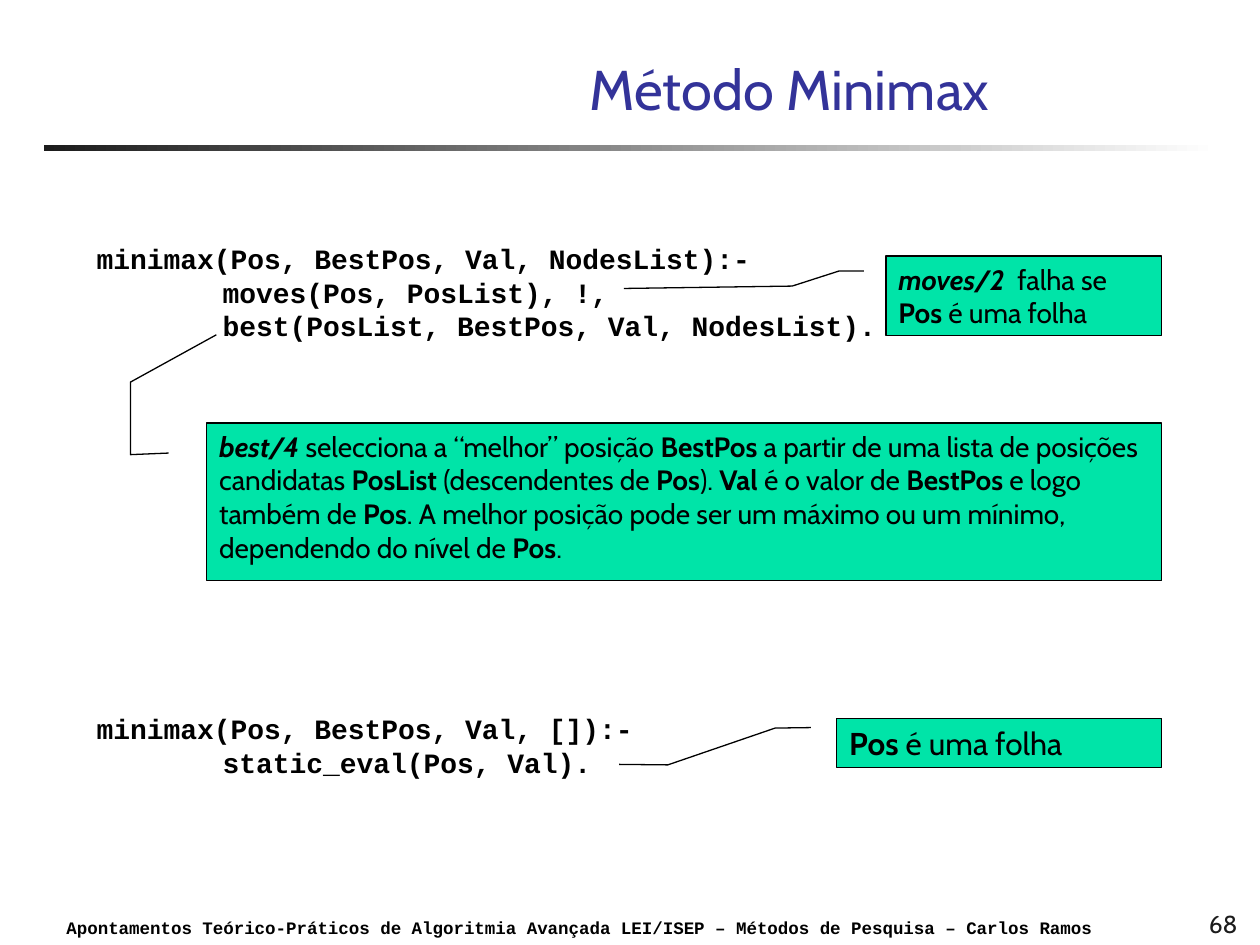
from pptx import Presentation
from pptx.dml.color import RGBColor
from pptx.enum.shapes import MSO_SHAPE as Shape
from pptx.enum.text import MSO_ANCHOR as Anchor, MSO_AUTO_SIZE as AutoSize, PP_ALIGN as Align
from pptx.util import Cm, Pt

BODY_FONT = "Cabin"
CODE_FONT = "Courier New"
BLACK = "000000"
DARK_GRAY = "1C1C1C"
WHITE = "FFFFFF"
TITLE_BLUE = "333399"
CALLOUT_GREEN = "00E4A8"
CALLOUT_RIGHT = 23.42
CODE_INDENT = 2.54


def rgb(hex_color):
    return RGBColor.from_string(hex_color)


def add_run(paragraph, text, size, font=BODY_FONT, color=BLACK, style=""):
    """Style holds "b" for bold and "i" for italic."""
    run = paragraph.add_run()
    run.text = text
    run.font.name = font
    run.font.size = Pt(size)
    run.font.color.rgb = rgb(color)
    run.font.bold = "b" in style
    run.font.italic = "i" in style


def add_text_box(slide, left, top, width, height, anchor=Anchor.TOP, wrap=True):
    box = slide.shapes.add_textbox(Cm(left), Cm(top), Cm(width), Cm(height))
    frame = box.text_frame
    frame.word_wrap = wrap
    frame.vertical_anchor = anchor
    return frame


def fill_title(slide, text):
    title = slide.shapes.title
    title.left, title.top = Cm(7.29), Cm(1.12)
    title.width, title.height = Cm(17.25), Cm(1.47)
    frame = title.text_frame
    frame.auto_size = AutoSize.NONE
    frame.vertical_anchor = Anchor.BOTTOM
    paragraph = frame.paragraphs[0]
    paragraph.alignment = Align.CENTER
    add_run(paragraph, text, 32, color=TITLE_BLUE)


def add_title_rule(slide):
    rule = slide.shapes.add_shape(Shape.RECTANGLE, Cm(0.89), Cm(2.92), Cm(23.67), Cm(0.13))
    rule.shadow.inherit = False
    rule.line.fill.background()
    rule.fill.gradient()
    rule.fill.gradient_angle = 0
    for stop, color in zip(rule.fill.gradient_stops, (DARK_GRAY, WHITE)):
        stop.color.rgb = rgb(color)


def add_footer(slide, text, number):
    frame = add_text_box(slide, 1.09, 18.36, 21.41, 0.69)
    add_run(frame.paragraphs[0], text, 10, CODE_FONT, style="b")
    frame = add_text_box(slide, 20.12, 17.78, 5.08, 1.27, Anchor.BOTTOM)
    paragraph = frame.paragraphs[0]
    paragraph.alignment = Align.RIGHT
    add_run(paragraph, number, 14, color=DARK_GRAY)


def add_clause(slide, top, head, goals):
    """Add a Prolog clause: its head, then its goals indented below."""
    frame = add_text_box(slide, 1.7, top, 16.46, 0.85 * (len(goals) + 1), wrap=False)
    add_run(frame.paragraphs[0], head, 16, CODE_FONT, style="b")
    for goal in goals:
        paragraph = frame.add_paragraph()
        paragraph._p.get_or_add_pPr().set("marL", str(Cm(CODE_INDENT)))
        add_run(paragraph, goal, 16, CODE_FONT, style="b")


def add_callout(slide, left, top, height, leader, size, runs):
    """Add a callout; leader lists the line's points as y, x fractions of the box."""
    callout = slide.shapes.add_shape(
        Shape.LINE_CALLOUT_3, Cm(left), Cm(top), Cm(CALLOUT_RIGHT - left), Cm(height))
    for index, value in enumerate(leader):
        callout.adjustments[index] = value
    callout.shadow.inherit = False
    callout.fill.solid()
    callout.fill.fore_color.rgb = rgb(CALLOUT_GREEN)
    callout.line.color.rgb = rgb(BLACK)
    callout.line.width = Pt(0.75)
    frame = callout.text_frame
    frame.word_wrap = True
    frame.vertical_anchor = Anchor.TOP
    paragraph = frame.paragraphs[0]
    paragraph.alignment = Align.LEFT
    for text, style in runs:
        add_run(paragraph, text, size, style=style)


def main():
    presentation = Presentation()
    presentation.slide_width, presentation.slide_height = Cm(25.4), Cm(19.05)
    slide = presentation.slides.add_slide(presentation.slide_layouts[5])

    add_title_rule(slide)
    fill_title(slide, "Método Minimax")
    add_footer(
        slide,
        "Apontamentos Teórico-Práticos de Algoritmia Avançada LEI/ISEP"
        " – Métodos de Pesquisa – Carlos Ramos",
        "68")

    add_clause(slide, 4.75, "minimax(Pos, BestPos, Val, NodesList):-", [
        "moves(Pos, PosList), !,",
        "best(PosList, BestPos, Val, NodesList).",
    ])
    add_clause(slide, 14.22, "minimax(Pos, BestPos, Val, []):-", ["static_eval(Pos, Val)."])

    add_callout(
        slide, 17.86, 5.16, 1.6,
        (0.19, -0.08, 0.19, -0.17, 0.38, -0.34, 0.41, -0.95), 16,
        [("moves/2  ", "bi"), ("falha se ", ""), ("Pos", "b"), (" é uma folha", "")])
    add_callout(
        slide, 16.87, 14.48, 0.99,
        (0.19, -0.08, 0.2, -0.19, 0.95, -0.52, 0.94, -0.67), 18,
        [("Pos", "b"), (" é uma folha", "")])
    add_callout(
        slide, 4.17, 8.53, 3.18,
        (0.19, -0.04, 0.2, -0.08, -0.26, -0.08, -0.56, 0.01), 16,
        [
            ("best/4", "bi"),
            (" selecciona a “melhor” posição ", ""),
            ("BestPos", "b"),
            (" a partir de uma lista de posições candidatas ", ""),
            ("PosList", "b"),
            (" (descendentes de ", ""),
            ("Pos", "b"),
            ("). ", ""),
            ("Val", "b"),
            (" é o valor de ", ""),
            ("BestPos", "b"),
            (" e logo também de ", ""),
            ("Pos", "b"),
            (". A melhor posição pode ser um máximo ou um mínimo, dependendo do nível de ", ""),
            ("Pos", "b"),
            (".", ""),
        ])

    presentation.save("out.pptx")


if __name__ == "__main__":
    main()
